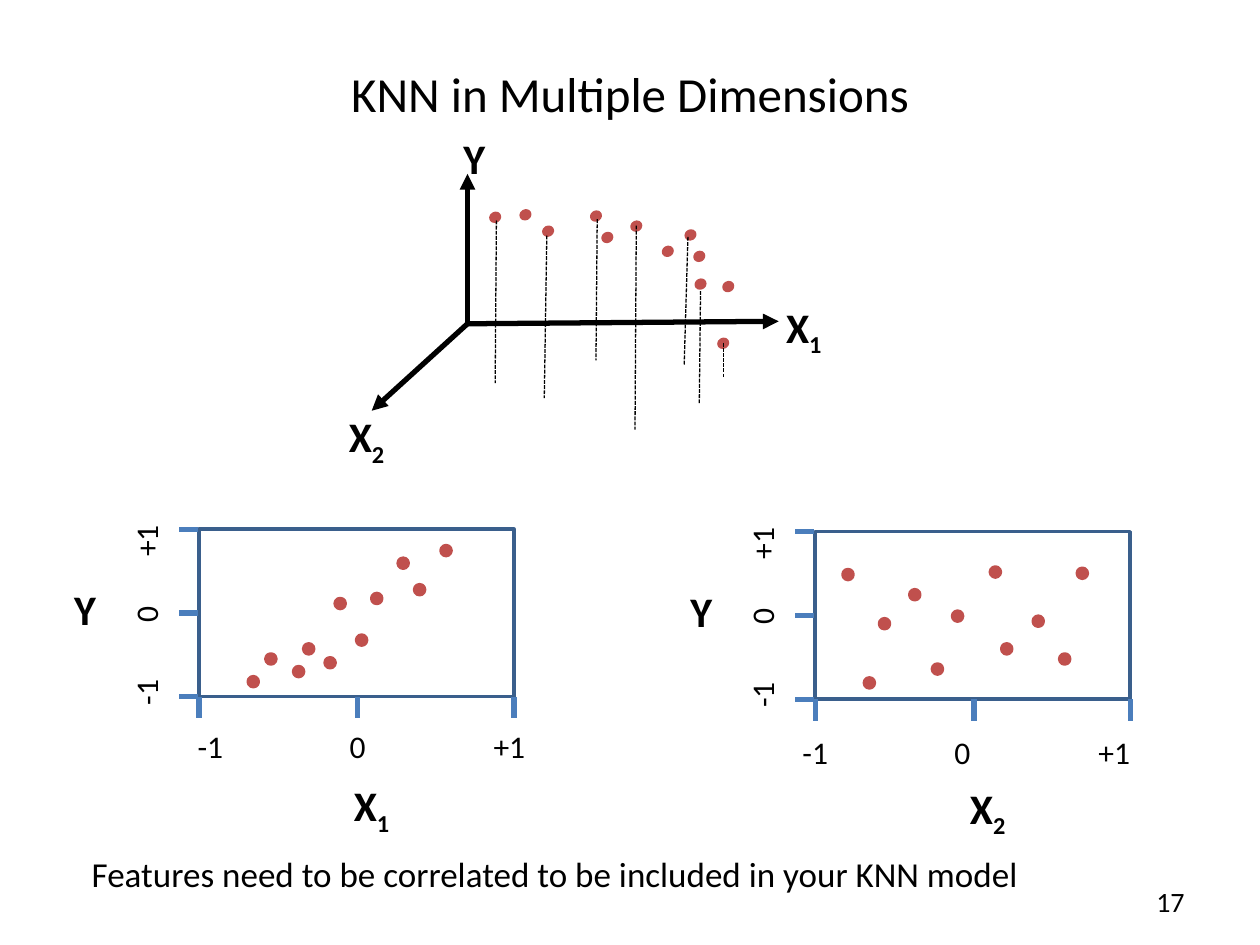
from lxml import etree
from pptx import Presentation
from pptx import util as u
from pptx.dml.color import RGBColor
from pptx.enum import dml, shapes, text
from pptx.oxml.ns import qn

COLORS = {"ink": "000000", "dot": "C0504D", "frame": "3A5F8C", "tick": "4B7EBC"}
FONT = "Calibri"
PLOT_WIDTH, PLOT_HEIGHT = 2.5, 1.33


def inches(value):
    return u.Cm(value * 2.54)


def color(name):
    return RGBColor.from_string(COLORS[name])


def write(box, content, size=18, bold=False, align="LEFT", anchor="TOP", sub=None, tabs=()):
    frame = box.text_frame
    frame.word_wrap = True
    frame.vertical_anchor = getattr(text.MSO_ANCHOR, anchor)
    para = frame.paragraphs[0]
    para.alignment = getattr(text.PP_ALIGN, align)
    for part in filter(None, (content, sub)):
        span = para.add_run()
        span.text = part
        span.font.name = FONT
        span.font.size = u.Pt(size)
        span.font.bold = bold
        span.font.color.rgb = color("ink")
    if sub:
        span._r.get_or_add_rPr().set("baseline", "-25000")
    if tabs:
        stops = etree.SubElement(para._p.get_or_add_pPr(), qn("a:tabLst"))
        for position, side in tabs:
            etree.SubElement(stops, qn("a:tab"), pos=str(inches(position)), algn=side)


class Sketch:
    def __init__(self, page):
        self.page = page

    def label(self, place, content, rotation=0, **style):
        box = self.page.shapes.add_textbox(*map(inches, place))
        box.rotation = rotation
        write(box, content, **style)

    def line(self, start, end, width=3, ink="ink", arrow=False, dashed=False):
        line = self.page.shapes.add_connector(
            shapes.MSO_CONNECTOR.STRAIGHT, *map(inches, start + end))
        line.line.width = u.Pt(width)
        line.line.color.rgb = color(ink)
        if dashed:
            line.line.dash_style = dml.MSO_LINE.SQUARE_DOT
        if arrow:
            etree.SubElement(line.line._get_or_add_ln(), qn("a:tailEnd"), type="triangle")
        etree.SubElement(line._element.spPr, qn("a:effectLst"))

    def shape(self, kind, place, ink, filled=False, rotation=0):
        shape = self.page.shapes.add_shape(kind, *map(inches, place))
        shape.shadow.inherit = False
        shape.rotation = rotation
        shape.line.color.rgb = color(ink)
        shape.line.width = u.Pt(2)
        if filled:
            shape.fill.solid()
            shape.fill.fore_color.rgb = color(ink)
        else:
            shape.fill.background()

    def dots(self, points, width=0.08, height=0.08, rotation=0):
        for left, top in points:
            self.shape(shapes.MSO_SHAPE.OVAL, (left, top, width, height), "dot", True, rotation)

    def plot(self, left, top, points, feature, tick_labels):
        bottom = top + PLOT_HEIGHT
        self.shape(shapes.MSO_SHAPE.RECTANGLE, (left, top, PLOT_WIDTH, PLOT_HEIGHT), "frame")
        self.dots(points)
        for x in (left, left + 1.26, left + PLOT_WIDTH):
            self.line((x, bottom), (x, bottom + 0.17), ink="tick")
        for step in range(3):
            y = top + step * PLOT_HEIGHT / 2
            self.line((left - 0.01, y), (left - 0.16, y), ink="tick")
        ticks = "-1\t0\t+1"
        self.label((*tick_labels, 3.36, 0.4), ticks, tabs=((1.27, "ctr"), (2.6, "r")))
        self.label((left - 1.3, top + 0.42, 1.75, 0.4), ticks, rotation=270,
                   tabs=((0.72, "ctr"), (1.43, "r")))
        self.label((left + 1.13, top + 1.94, 0.7, 0.4), "X", size=24, bold=True, sub=feature)
        self.label((left - 1.09, top + 0.38, 0.45, 0.4), "Y", size=24, bold=True)


def draw_space(sketch):
    origin = (3.71, 2.57)
    for end in ((6.18, 2.55), (3.71, 1.38), (2.95, 3.26)):
        sketch.line(origin, end, arrow=True)
    for place, name, sub in (((3.58, 1, 0.37, 0.3), "Y", None),
                             ((6.14, 2.34, 0.56, 0.3), "X", "1"),
                             ((2.67, 3.21, 0.56, 0.3), "X", "2")):
        sketch.label(place, name, size=24, bold=True, sub=sub)
    sketch.dots([(4.14, 1.67), (4.7, 1.68), (5.75, 2.24), (4.32, 1.8), (4.79, 1.85),
                 (3.9, 1.69), (5.45, 1.83), (5.52, 2), (5.53, 2.22), (5.02, 1.76),
                 (5.71, 2.69), (5.27, 1.96)], 0.06, 0.07, 60.5)
    for x, top, foot, bottom in ((3.94, 1.75, 3.93, 3.04), (4.34, 1.87, 4.32, 3.16),
                                 (4.74, 1.74, 4.73, 2.86), (5.05, 1.79, 5.04, 3.41),
                                 (5.46, 1.88, 5.43, 2.9), (5.74, 2.72, 5.74, 2.99),
                                 (5.56, 2.31, 5.55, 3.2)):
        sketch.line((x, top), (foot, bottom), width=0.75, dashed=True)


def main():
    deck = Presentation()
    deck.slide_width, deck.slide_height = inches(10), inches(7.5)
    sketch = Sketch(deck.slides.add_slide(deck.slide_layouts[6]))
    sketch.label((0.5, 0.3, 9, 0.87), "KNN in Multiple Dimensions",
                 size=28, align="CENTER", anchor="MIDDLE")
    sketch.label((7.17, 6.95, 2.33, 0.4), "17", size=16, align="RIGHT", anchor="MIDDLE")
    draw_space(sketch)
    scattered = [(6.98, 4.91), (7.22, 4.68), (7.4, 5.27), (7.95, 5.11), (7.86, 4.5),
                 (6.69, 4.52), (7.56, 4.85), (8.41, 5.19), (6.86, 5.38), (8.2, 4.89),
                 (8.55, 4.51)]
    correlated = [(2.33, 5.29), (2.41, 5.11), (2.58, 5.22), (2.83, 5.04), (2.66, 4.75),
                  (2.11, 5.19), (2.95, 4.71), (3.29, 4.64), (1.97, 5.37), (3.16, 4.43),
                  (3.5, 4.33)]
    sketch.plot(6.47, 4.22, scattered, "2", (6.27, 5.77))
    sketch.plot(1.58, 4.2, correlated, "1", (1.47, 5.72))
    sketch.label((0.63, 6.72, 9, 0.71),
                 "Features need to be correlated to be included in your KNN model", size=20)
    deck.save("out.pptx")


if __name__ == "__main__":
    main()
